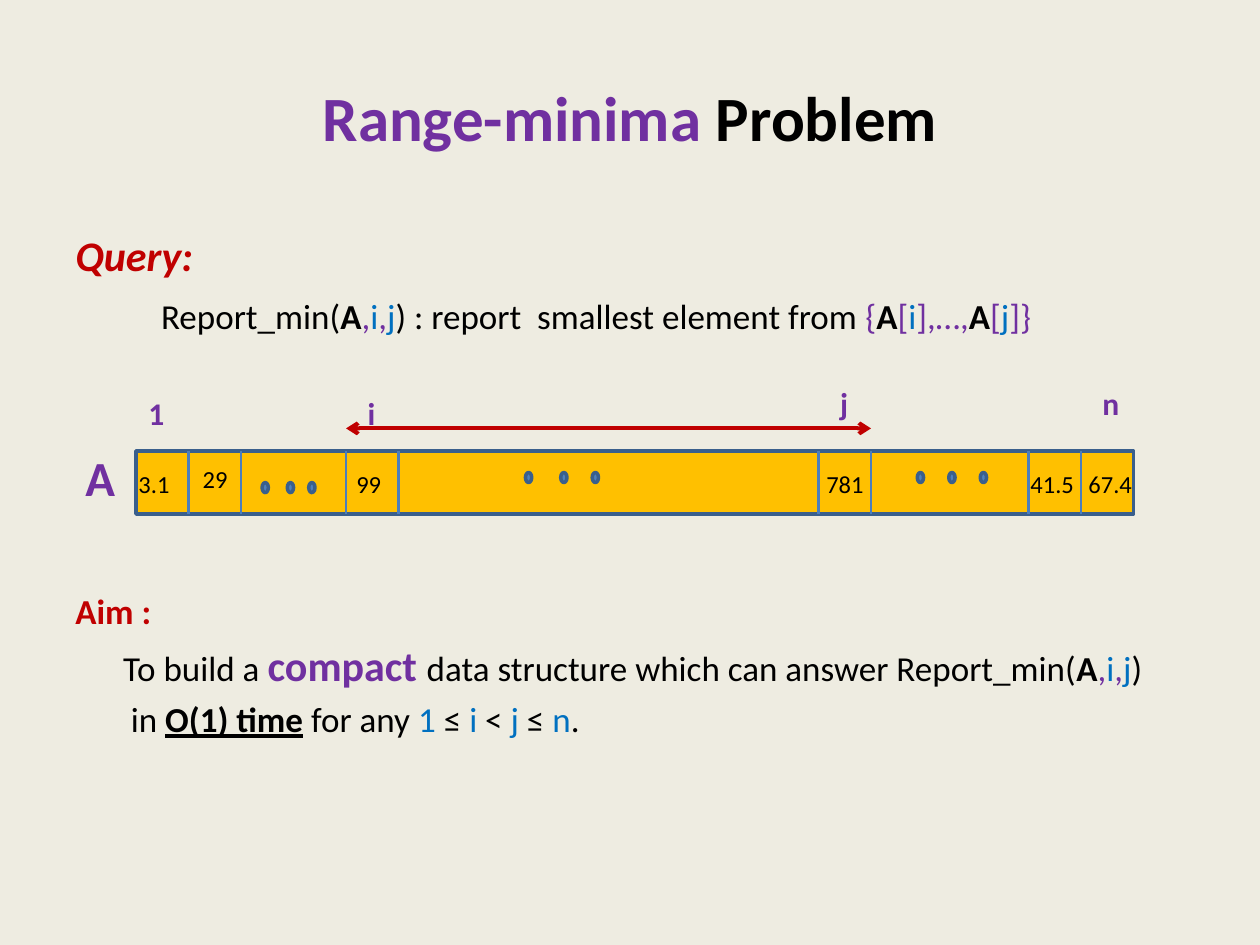
from dataclasses import dataclass

import lxml.etree
import pptx
import pptx.dml.color
import pptx.enum.shapes
import pptx.enum.text
import pptx.oxml.ns
import pptx.util

Inches = pptx.util.Inches
Pt = pptx.util.Pt

COLORS = {
    "background": "EEECE1", "black": "000000", "purple": "7030A0",
    "red": "C00000", "blue": "0070C0", "array": "FFC000",
    "outline": "3A5F8C", "divider": "4B7EBC", "dot": "4F81BD",
}
FONT = "Calibri"

# The array is a row of equal cells; wide gaps span several of them
ARRAY_LEFT, ARRAY_TOP, ARRAY_HEIGHT = 1.08, 3.58, 0.5
CELL_WIDTH, CELL_COUNT = 5 / 12, 19
DIVIDER_CELLS = (1, 2, 4, 5, 13, 14, 17, 18)
RANGE_CELLS = (4, 14)


@dataclass
class Run:
    text: str
    color: str = "black"
    size: float = 20
    bold: bool = False
    italic: bool = False
    underline: bool = False


@dataclass
class Line:
    runs: list[Run]
    indent: float = 0
    space_before: float = 0


@dataclass
class Label:
    left: float
    top: float
    width: float
    height: float
    run: Run


@dataclass
class Dots:
    top: float
    lefts: tuple[float, ...]


def rgb(name: str) -> pptx.dml.color.RGBColor:
    return pptx.dml.color.RGBColor.from_string(COLORS[name])


def add_text(slide, left: float, top: float, width: float, height: float,
             lines: list[Line]):
    shape = slide.shapes.add_textbox(Inches(left), Inches(top),
                                     Inches(width), Inches(height))
    frame = shape.text_frame
    frame.word_wrap = True
    for index, line in enumerate(lines):
        paragraph = frame.add_paragraph() if index else frame.paragraphs[0]
        paragraph.space_before = Pt(line.space_before)
        properties = paragraph._p.get_or_add_pPr()
        properties.set("marL", str(Inches(line.indent)))
        properties.set("indent", "0")
        for item in line.runs:
            run = paragraph.add_run()
            run.text = item.text
            run.font.name = FONT
            run.font.size = Pt(item.size)
            run.font.bold = item.bold
            run.font.italic = item.italic
            run.font.underline = item.underline
            run.font.color.rgb = rgb(item.color)
    return frame


def add_label(slide, label: Label) -> None:
    frame = add_text(slide, label.left, label.top, label.width, label.height,
                     [Line([label.run])])
    frame.word_wrap = False
    frame.auto_size = pptx.enum.text.MSO_AUTO_SIZE.SHAPE_TO_FIT_TEXT


def add_filled(slide, kind, left: float, top: float, width: float,
               height: float, fill: str) -> None:
    shape = slide.shapes.add_shape(kind, Inches(left), Inches(top),
                                   Inches(width), Inches(height))
    shape.shadow.inherit = False
    shape.fill.solid()
    shape.fill.fore_color.rgb = rgb(fill)
    shape.line.color.rgb = rgb("outline")
    shape.line.width = Pt(2)


def add_line(slide, start: tuple[float, float], end: tuple[float, float],
             color: str, width: float, arrows: bool = False) -> None:
    connector = slide.shapes.add_connector(
        pptx.enum.shapes.MSO_CONNECTOR.STRAIGHT,
        Inches(start[0]), Inches(start[1]), Inches(end[0]), Inches(end[1]))
    connector.line.color.rgb = rgb(color)
    connector.line.width = Pt(width)
    if arrows:
        outline = connector.line._get_or_add_ln()
        for tag in ("a:headEnd", "a:tailEnd"):
            lxml.etree.SubElement(outline, pptx.oxml.ns.qn(tag), type="arrow")
    lxml.etree.SubElement(connector._element.spPr,
                          pptx.oxml.ns.qn("a:effectLst"))


def cell_x(cell: int) -> float:
    return ARRAY_LEFT + cell * CELL_WIDTH


def arguments() -> list[Run]:
    return [Run("A", bold=True), Run(",", "purple"), Run("i", "blue"),
            Run(",", "purple"), Run("j", "blue")]


def element(index: str) -> list[Run]:
    return [Run("A", bold=True), Run("[", "purple"), Run(index, "blue")]


def value(left: float, width: float, text: str, top: float = 3.67) -> Label:
    return Label(left, top, width, 0.34, Run(text, size=14))


def index_label(left: float, top: float, width: float, text: str) -> Label:
    return Label(left, top, width, 0.4, Run(text, "purple", 18, bold=True))


QUERY = [
    Line([Run("Query:", "red", 24, bold=True, italic=True)]),
    Line([Run("Report_min("), *arguments(),
          Run(") : report  smallest element from "), Run("{", "purple"),
          *element("i"), Run("],…,", "purple"),
          *element("j"), Run("]}", "purple")], 0.68, 8.4),
]
AIM = [
    Line([Run("Aim :", "red", bold=True)]),
    Line([Run("To build a "), Run("compact ", "purple", 24, bold=True),
          Run("data structure which can answer Report_min("),
          *arguments(), Run(")")], 0.38, 4.8),
    Line([Run("in "), Run("O(1) time", bold=True, underline=True),
          Run(" for any "), Run("1 ", "blue"), Run("≤ "), Run("i ", "blue"),
          Run("< "), Run("j ", "blue"), Run("≤ "), Run("n", "blue"),
          Run(".")], 0.44, 4),
]
DOTS = [Dots(3.83, (2.08, 2.28, 2.45)), Dots(3.75, (4.17, 4.45, 4.7)),
        Dots(3.75, (7.28, 7.53, 7.78))]
LABELS = [
    value(1, 0.45, "3.1"), value(1.51, 0.4, "29", 3.63),
    value(2.73, 0.4, "99"), value(6.46, 0.5, "781"),
    value(8.08, 0.55, "41.5"), value(8.54, 0.55, "67.4"),
    index_label(1.08, 3.08, 0.33, "1"), index_label(2.82, 3.08, 0.26, "i"),
    index_label(6.57, 3, 0.27, "j"), index_label(8.65, 3, 0.34, "n"),
    Label(0.58, 3.5, 0.44, 0.57, Run("A", "purple", 28, bold=True)),
]


def main() -> None:
    presentation = pptx.Presentation()
    presentation.slide_width = Inches(10)
    presentation.slide_height = Inches(7.5)
    slide = presentation.slides.add_slide(presentation.slide_layouts[6])
    slide.background.fill.solid()
    slide.background.fill.fore_color.rgb = rgb("background")

    # Title and body text
    title = add_text(slide, 0.5, 0.3, 9, 1.25, [
        Line([Run("Range-minima", "purple", 36, bold=True),
              Run(" Problem", size=36, bold=True)])])
    title.vertical_anchor = pptx.enum.text.MSO_ANCHOR.MIDDLE
    title.paragraphs[0].alignment = pptx.enum.text.PP_ALIGN.CENTER
    add_text(slide, 0.5, 1.77, 9, 1.1, QUERY)
    add_text(slide, 0.5, 4.63, 9, 1.4, AIM)

    # Array with its dividers and ellipsis dots
    shapes = pptx.enum.shapes.MSO_SHAPE
    add_filled(slide, shapes.RECTANGLE, ARRAY_LEFT, ARRAY_TOP,
               CELL_COUNT * CELL_WIDTH, ARRAY_HEIGHT, "array")
    for cell in DIVIDER_CELLS:
        add_line(slide, (cell_x(cell), ARRAY_TOP),
                 (cell_x(cell), ARRAY_TOP + ARRAY_HEIGHT), "divider", 1.5)
    for dots in DOTS:
        for left in dots.lefts:
            add_filled(slide, shapes.OVAL, left, dots.top, 0.05, 0.08, "dot")

    # Values, indices and the queried range
    for label in LABELS:
        add_label(slide, label)
    start, end = (cell_x(cell) for cell in RANGE_CELLS)
    add_line(slide, (start, 3.4), (end, 3.4), "red", 2.25, arrows=True)

    presentation.save("out.pptx")


if __name__ == "__main__":
    main()
